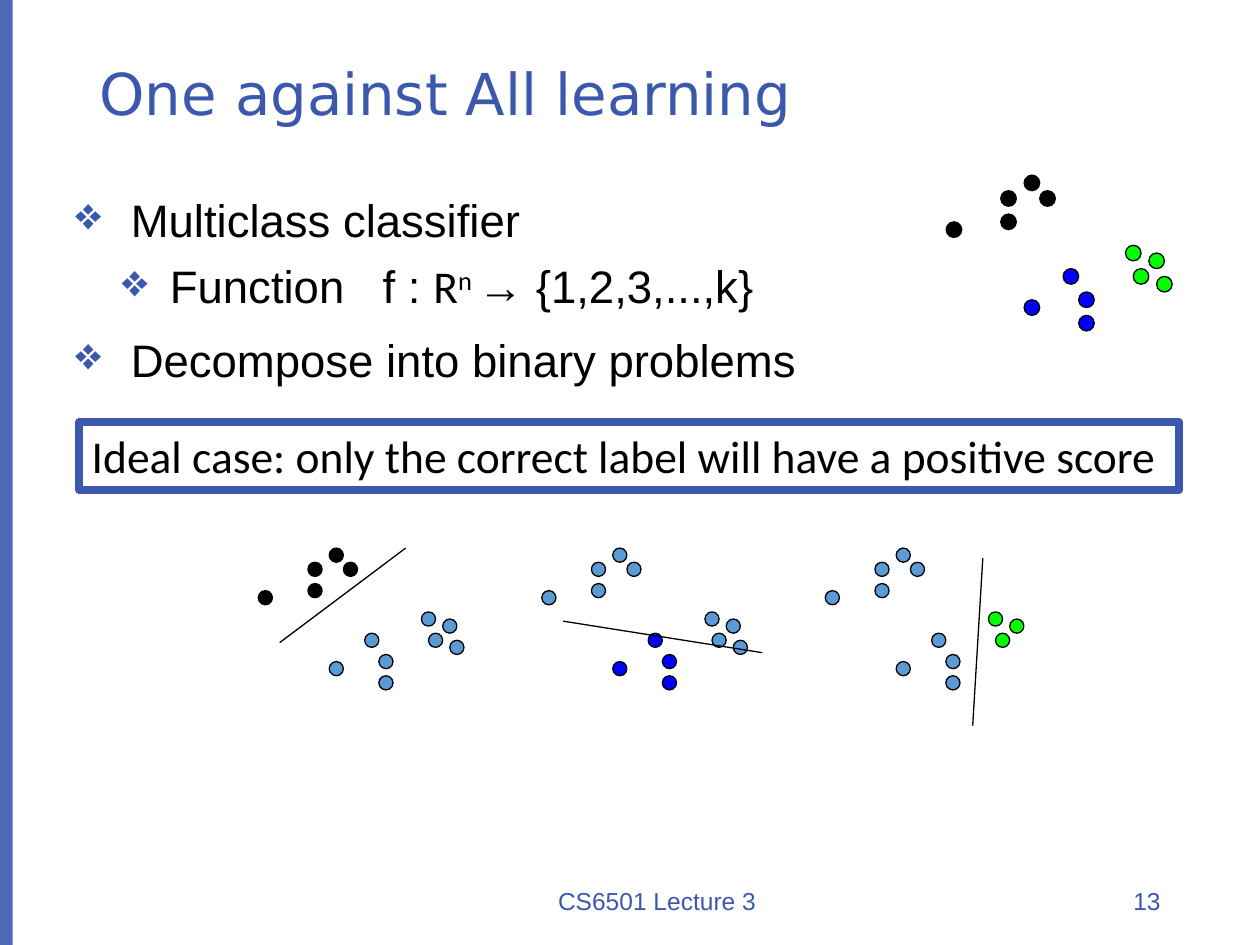
from lxml import etree
from pptx import Presentation
from pptx.dml import color
from pptx.enum import dml, shapes, text
from pptx.oxml import ns
from pptx.util import Inches, Pt

COLORS = {
    "accent": "3C58AD",
    "ink": "000000",
    "first": "000000",
    "second": "0000FF",
    "third": "00FF00",
    "rest": "5B9BD5",
}
CLASS_POINTS = {
    "first": [(7, 2), (10, 0), (12, 2), (7, 5), (0, 6)],
    "second": [(10, 16), (15, 12), (17, 15), (17, 18)],
    "third": [(24, 12), (26, 10), (23, 9), (27, 13)],
}
GRID_COLUMNS = 27
PANEL_LEFT, PANEL_TOP, PANEL_STEP = 2.05, 4.35, 2.25
BOUNDARIES = {
    "first": (3.22, 4.35, 2.22, 5.1),
    "second": (4.47, 4.93, 6.05, 5.18),
    "third": (7.8, 4.43, 7.72, 5.76),
}


def rgb(name):
    return color.RGBColor.from_string(COLORS[name])


def add_xml(parent, tag, **attributes):
    return etree.SubElement(parent, ns.qn(tag), attributes)


def add_run(paragraph, words, size, face, tint="ink", **attributes):
    run = paragraph.add_run()
    run.text = words
    run.font.size = Pt(size)
    run.font.name = face
    run.font.color.rgb = rgb(tint)
    for key, value in attributes.items():
        run._r.get_or_add_rPr().set(key, value)


def add_frame(slide, left, top, width, height, anchor=text.MSO_ANCHOR.MIDDLE):
    box = slide.shapes.add_textbox(
        Inches(left), Inches(top), Inches(width), Inches(height))
    frame = box.text_frame
    frame.word_wrap = True
    frame.vertical_anchor = anchor
    return frame


def add_label(slide, place, words, size, face, align):
    label = add_frame(slide, *place).paragraphs[0]
    label.alignment = align
    add_run(label, words, size, face, "accent")
    return label


def style_bullet(paragraph, margin, hanging, before):
    paragraph.line_spacing = 1.1
    if before:
        paragraph.space_before = Pt(before)
    properties = paragraph._p.get_or_add_pPr()
    properties.set("marL", str(Inches(margin)))
    properties.set("indent", str(-Inches(hanging)))
    tint = add_xml(properties, "a:buClr")
    add_xml(tint, "a:srgbClr", val=COLORS["accent"])
    add_xml(properties, "a:buChar", char="❖")


def add_outline(slide):
    frame = add_frame(slide, 0.5, 1.43, 9, 5.25, text.MSO_ANCHOR.TOP)
    classifier = frame.paragraphs[0]
    style_bullet(classifier, 0.44, 0.44, 0)
    add_run(classifier, "Multiclass classifier", 26, "Arial")

    function = frame.add_paragraph()
    function.level = 1
    style_bullet(function, 0.75, 0.38, 3.8)
    add_run(function, "Function", 26, "Arial")
    add_run(function, " ", 26, "Arial", spc="1450")
    add_run(function, "f : ", 26, "Arial")
    add_run(function, "R", 26, "Calibri")
    add_run(function, "n ", 26, "Calibri", baseline="30000")
    add_run(function, "→ {1,2,3,...,k}", 26, "Arial")

    decomposition = frame.add_paragraph()
    style_bullet(decomposition, 0.44, 0.44, 7.5)
    add_run(decomposition, "Decompose into binary problems", 26, "Arial")


def add_side_bar(slide):
    bar = slide.shapes.add_shape(
        shapes.MSO_SHAPE.RECTANGLE, 0, 0, Inches(0.1), Inches(7.5))
    bar.shadow.inherit = False
    bar.fill.solid()
    bar.fill.fore_color.rgb = rgb("accent")
    tint = bar._element.spPr.find(".//" + ns.qn("a:srgbClr"))
    add_xml(tint, "a:alpha", val="90000")
    bar.line.fill.background()


def add_callout(slide):
    callout = slide.shapes.add_shape(
        shapes.MSO_SHAPE.RECTANGLE,
        Inches(0.63), Inches(3.35), Inches(8.73), Inches(0.54))
    callout.shadow.inherit = False
    callout.fill.background()
    callout.line.color.rgb = rgb("accent")
    callout.line.width = Pt(4.5)
    frame = callout.text_frame
    frame.word_wrap = False
    frame.auto_size = text.MSO_AUTO_SIZE.SHAPE_TO_FIT_TEXT
    frame.vertical_anchor = text.MSO_ANCHOR.TOP
    ideal = frame.paragraphs[0]
    ideal.alignment = text.PP_ALIGN.LEFT
    add_run(ideal, "Ideal case: only the correct label will have a positive score",
            26, "Calibri")


def add_scatter(container, left, top, width, positive=None):
    unit = width / GRID_COLUMNS
    for label, points in CLASS_POINTS.items():
        if positive == label == "third":
            points = points[:-1]
        tint = label if positive in (None, label) else "rest"
        for column, row in points:
            dot = container.add_shape(
                shapes.MSO_SHAPE.OVAL,
                Inches(left + column * unit), Inches(top + row * unit),
                Inches(2 * unit), Inches(2 * unit))
            dot.shadow.inherit = False
            dot.fill.solid()
            dot.fill.fore_color.rgb = rgb(tint)
            dot.line.color.rgb = rgb("ink")
            dot.line.width = Pt(0.75)


def add_boundary(slide, ends):
    boundary = slide.shapes.add_connector(
        shapes.MSO_CONNECTOR.STRAIGHT, *(Inches(end) for end in ends))
    boundary.line.color.rgb = rgb("ink")
    boundary.line.width = Pt(0.75)
    add_xml(boundary._element.spPr, "a:effectLst")


def main():
    deck = Presentation()
    deck.slide_width, deck.slide_height = Inches(10), Inches(7.5)
    slide = deck.slides.add_slide(deck.slide_layouts[6])

    add_side_bar(slide)
    title = add_label(slide, (0.69, 0.4, 8.62, 0.74), "One against All learning",
                      33, "DejaVu Sans", text.PP_ALIGN.LEFT)
    title.line_spacing = 0.9
    add_outline(slide)
    add_scatter(slide.shapes.add_group_shape().shapes, 7.51, 1.39, 1.67)
    add_callout(slide)
    for index, label in enumerate(CLASS_POINTS):
        add_scatter(slide.shapes, PANEL_LEFT + index * PANEL_STEP, PANEL_TOP,
                    1.52, label)
    for ends in BOUNDARIES.values():
        add_boundary(slide, ends)
    add_label(slide, (3.31, 6.95, 3.81, 0.4), "CS6501 Lecture 3",
              14, "Arial", text.PP_ALIGN.CENTER)
    add_label(slide, (7.85, 6.95, 1.46, 0.4), "13",
              14, "Arial", text.PP_ALIGN.RIGHT)
    deck.save("out.pptx")


if __name__ == "__main__":
    main()
